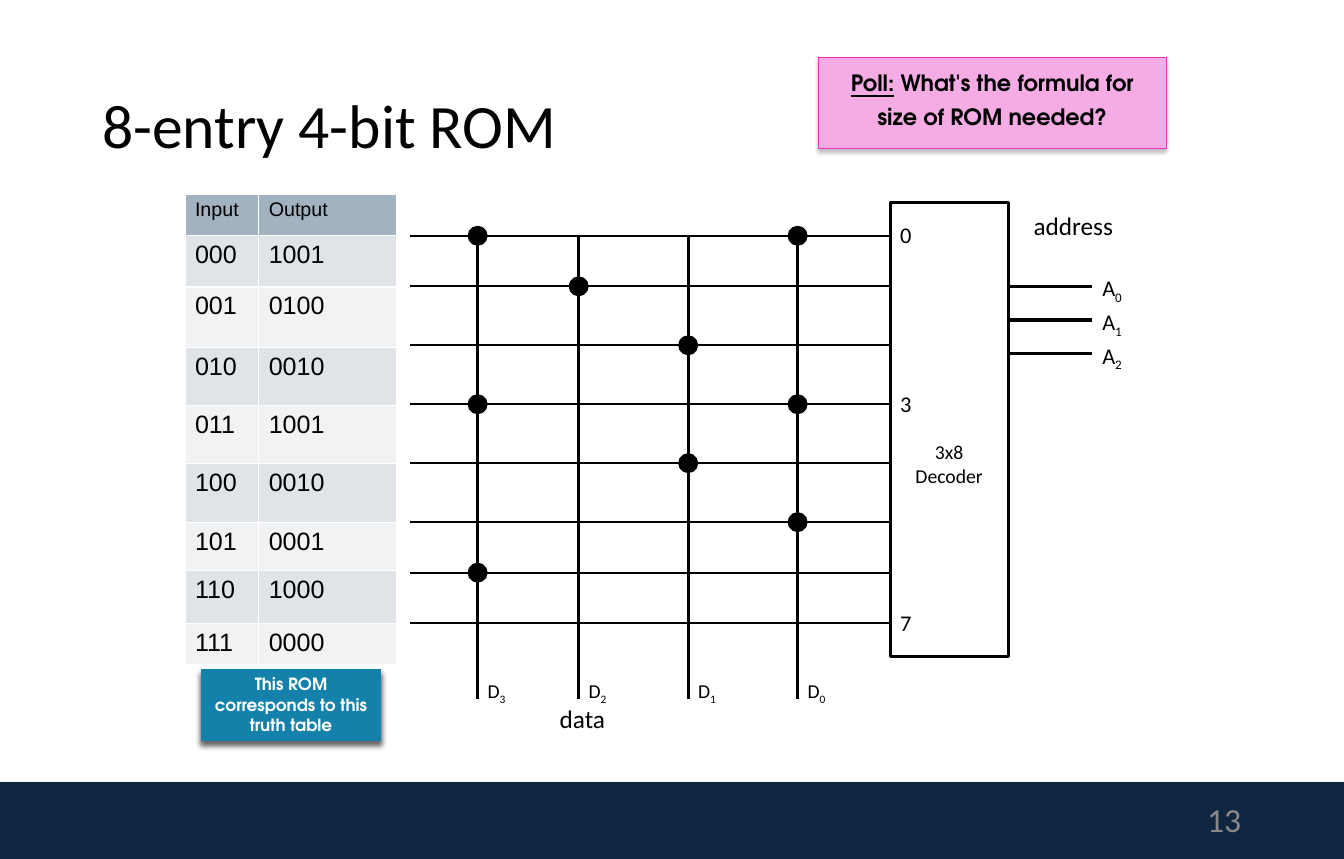
"""Build the slide on an 8-entry 4-bit ROM: truth table, wire matrix and decoder."""
from lxml import etree
from pptx import Presentation, util as u
from pptx.dml.color import RGBColor
from pptx.enum import shapes, text
from pptx.oxml.ns import qn

CELL = u.Inches(1) / 12
LEFT_OFFSET = u.Inches(0.06)
BLACK, WHITE = "000000", "FFFFFF"
CENTER, RIGHT = text.PP_ALIGN.CENTER, text.PP_ALIGN.RIGHT
MIDDLE = text.MSO_ANCHOR.MIDDLE
DISPLAY_FONT = "TeX Gyre Adventor"


def place(column, row, width, height):
    """Turn grid columns and rows into left, top, width and height."""
    return (round(LEFT_OFFSET + column * CELL), round(row * CELL),
            round(width * CELL), round(height * CELL))


def paint(fill, color):
    """Make a fill solid in a hex colour, or empty when there is none."""
    if color:
        fill.solid()
        fill.fore_color.rgb = RGBColor.from_string(color)
    else:
        fill.background()


presentation = Presentation()
presentation.slide_width, presentation.slide_height = u.Inches(13.3), u.Inches(8.5)
slide = presentation.slides.add_slide(presentation.slide_layouts[5])

truth_table = [("000", "1001"), ("001", "0100"), ("010", "0010"), ("011", "1001"),
               ("100", "0010"), ("101", "0001"), ("110", "1000"), ("111", "0000")]
word_rows = [28, 34, 41, 48, 55, 62, 68, 74]
bit_columns = [56, 68, 81, 94]
pin_rows = [34, 38, 42]
decoder_column, decoder_width = 105, 14
pin_column = decoder_column + decoder_width

writings = []

title = slide.shapes.title
title.left, title.top, title.width, title.height = place(10.2, 5.4, 137.64, 19.68)
title.text_frame.auto_size = text.MSO_AUTO_SIZE.NONE
writings.append((title.text_frame, ["8-entry 4-bit ROM"],
                 {"size": 43.9, "anchor": MIDDLE, "spacing": 0.9}))

blocks = [
    ((-0.72, 92.88, 159.6, 9.12), "10253F", None, 0, ("808080", 35, 3.1, 1.8), [], {}),
    ((decoder_column, 24, decoder_width, 54), None, BLACK, 2.25, None,
     ["3x8", "Decoder"],
     {"size": 14, "align": CENTER, "anchor": MIDDLE, "margin_top": 0.73}),
    ((23.16, 79.44, 21.36, 8.52), "1481AA", "1481AA", 0.75, (BLACK, 60, 4, 3),
     ["This ROM corresponds to this truth table"],
     {"size": 12, "name": DISPLAY_FONT, "color": WHITE, "bold": True, "align": CENTER}),
    ((96.48, 6.84, 41.28, 10.8), "F5ACE5", "E833BF", 0.75, (BLACK, 25, 3, 2),
     [("Poll:", " What's the formula for size of ROM needed?")],
     {"size": 16, "name": DISPLAY_FONT, "bold": True, "align": CENTER,
      "spacing": 1.25, "first_run": "underline"}),
]
for grid, fill, line, line_width, shadow, paragraphs, format_values in blocks:
    shape = slide.shapes.add_shape(shapes.MSO_SHAPE.RECTANGLE, *place(*grid))
    shape.shadow.inherit = False
    paint(shape.fill, fill)
    paint(shape.line.fill, line)
    if line:
        shape.line.width = u.Pt(line_width)
    if shadow:
        color, opacity, blur, distance = shadow
        effects = shape._element.spPr.find(qn("a:effectLst"))
        outer = etree.SubElement(effects, qn("a:outerShdw"), blurRad=str(u.Pt(blur)),
                                 dist=str(u.Pt(distance)), dir="5400000", rotWithShape="0")
        tone = etree.SubElement(outer, qn("a:srgbClr"), val=color)
        etree.SubElement(tone, qn("a:alpha"), val=str(opacity * 1000))
    if paragraphs:
        writings.append((shape.text_frame, paragraphs, format_values))

wires = [(decoder_column, row, 48, row, 1.5) for row in word_rows]
wires += [(column, word_rows[0], column, 83, 2.25) for column in bit_columns]
wires += [(pin_column, row, pin_column + 10, row, 2.25) for row in pin_rows]
for start_column, start_row, end_column, end_row, line_width in wires:
    wire = slide.shapes.add_connector(shapes.MSO_CONNECTOR.STRAIGHT,
                                      *place(start_column, start_row, 0, 0)[:2],
                                      *place(end_column, end_row, 0, 0)[:2])
    paint(wire.line.fill, BLACK)
    wire.line.width = u.Pt(line_width)
    etree.SubElement(wire._element.spPr, qn("a:effectLst"))

for row, (address, word) in zip(word_rows, truth_table):
    for column, bit in zip(bit_columns, word):
        if bit == "1":
            dot = slide.shapes.add_shape(shapes.MSO_SHAPE.OVAL,
                                         *place(column - 1, row - 1, 2, 2))
            dot.shadow.inherit = False
            paint(dot.fill, BLACK)
            paint(dot.line.fill, BLACK)
            dot.line.width = u.Pt(2.25)

labels = [
    ((120.84, 24.36, 13, 4.8), "address", {"size": 18}),
    ((64.56, 82.92, 8.5, 4.8), "data", {"size": 18}),
    ((111.96, 94.56, 35.88, 5.4), "13",
     {"size": 24, "color": "888888", "align": RIGHT, "anchor": MIDDLE}),
]
labels += [((decoder_column, word_rows[entry] - 2.3, 3.84, 4.44), str(entry), {"size": 16})
           for entry in (0, 3, 7)]
labels += [((column, 80, 4.8, 4), ("D", str(3 - place_index)),
            {"size": 14, "last_run": "subscript"})
           for place_index, column in enumerate(bit_columns)]
labels += [((pin_column + 10, row - 2, 4.8, 4.44), ("A", str(pin)),
            {"size": 16, "last_run": "subscript"})
           for pin, row in enumerate(pin_rows)]
for grid, label, format_values in labels:
    box = slide.shapes.add_textbox(*place(*grid))
    writings.append((box.text_frame, [label], format_values))

column_widths = [8.76, 16.44]
row_heights = [4.92, 6.12, 7.2, 6.84, 6.96, 6.96, 5.76, 6.24, 4.92]
table = slide.shapes.add_table(
    len(row_heights), len(column_widths),
    *place(21.24, 23.04, sum(column_widths), sum(row_heights))).table
for column, width in zip(table.columns, column_widths):
    column.width = round(width * CELL)
for row_index, values in enumerate([("Input", "Output")] + truth_table):
    table.rows[row_index].height = round(row_heights[row_index] * CELL)
    for cell, value in zip(table.rows[row_index].cells, values):
        paint(cell.fill, "A3B2C1" if row_index == 0 else ("F0F2F4", "E0E4E9")[row_index % 2])
        writings.append((cell.text_frame, [value],
                         {"size": 17.9 if row_index else 14, "name": "Arial"}))

for frame, paragraphs, format_values in writings:
    frame.word_wrap = True
    if "margin_top" in format_values:
        frame.margin_top = u.Inches(format_values["margin_top"])
    frame.vertical_anchor = format_values.get("anchor", text.MSO_ANCHOR.TOP)
    for index, runs in enumerate(paragraphs):
        paragraph = frame.add_paragraph() if index else frame.paragraphs[0]
        paragraph.alignment = format_values.get("align", text.PP_ALIGN.LEFT)
        paragraph.line_spacing = format_values.get("spacing", 1.0)
        runs = (runs,) if isinstance(runs, str) else runs
        for run_index, words in enumerate(runs):
            run = paragraph.add_run()
            run.text = words
            font_values = {"size": u.Pt(format_values["size"]),
                           "name": format_values.get("name", "Calibri"),
                           "bold": format_values.get("bold", False),
                           "underline": "first_run" in format_values and run_index == 0}
            for attribute, value in font_values.items():
                setattr(run.font, attribute, value)
            paint(run.font.fill, format_values.get("color", BLACK))
            if "last_run" in format_values and run_index == len(runs) - 1:
                run.font._element.set("baseline", "-25000")

presentation.save("out.pptx")
